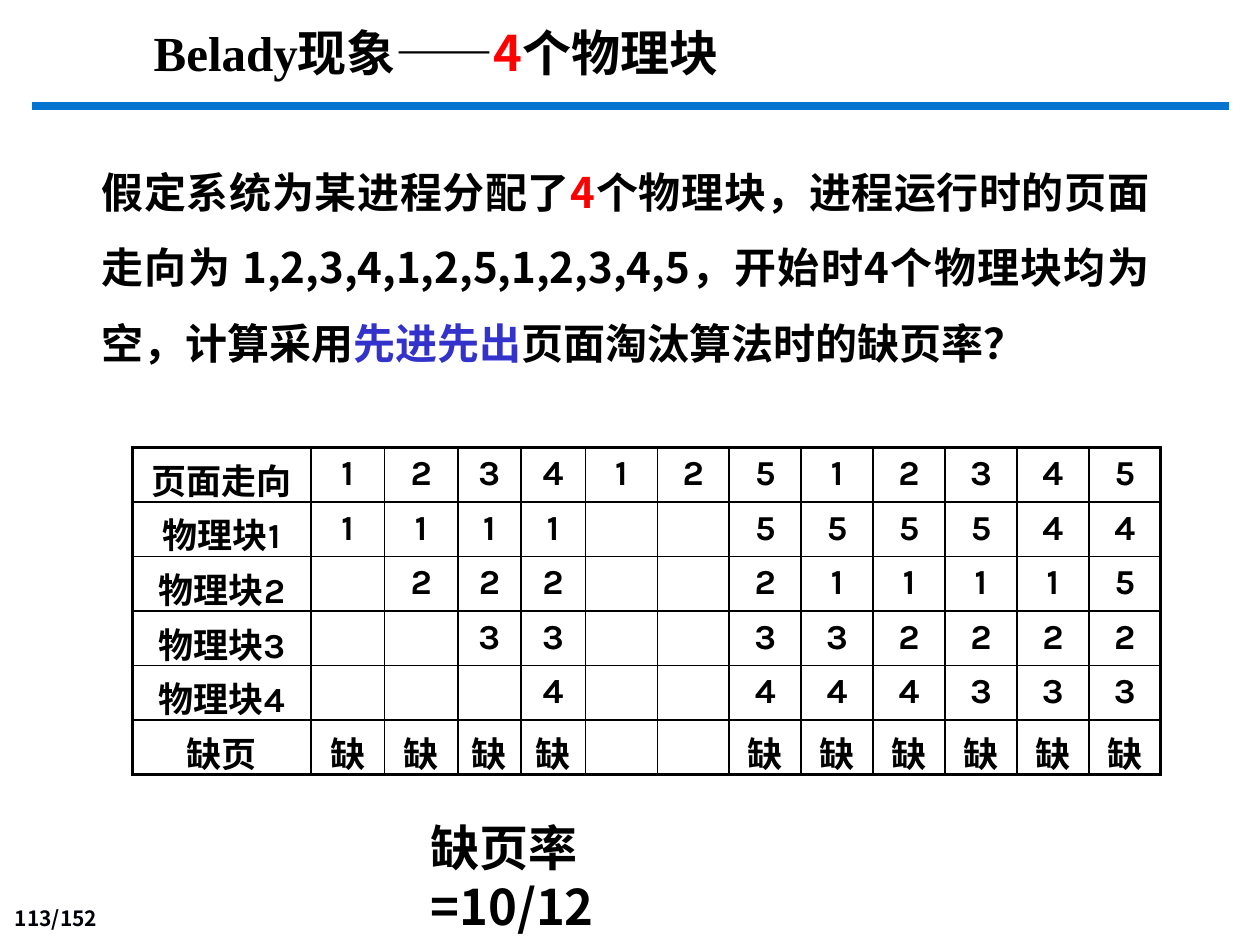
import pptx
import pptx.util
import pptx.dml.color
import pptx.enum.shapes
import pptx.enum.text
import pptx.oxml
import pptx.oxml.ns
from pptx.util import Cm, Pt

ALIGN = pptx.enum.text.PP_ALIGN
ANCHOR = pptx.enum.text.MSO_ANCHOR
SANS, SERIF = "Noto Sans CJK SC", "Times New Roman"
BLACK, RED, BLUE, NAVY = "000000", "FF0000", "3333CC", "000008"

# Page order, frames over time and faults; a dot is an empty cell
ROWS = [
    ("页面走向", "123412512345"),
    ("物理块1", "1111..555544"),
    ("物理块2", ".222..211115"),
    ("物理块3", "..33..332222"),
    ("物理块4", "...4..444333"),
    ("缺页", "缺缺缺缺..缺缺缺缺缺缺"),
]
COLS = [3.6, 1.48, 1.48, 1.27, 1.3] + [1.45] * 8


def paint(hue):
    return pptx.dml.color.RGBColor.from_string(hue)


def style(font, size, face, hue=None):
    font.size, font.name, font.bold = Pt(size), face, True
    if hue:
        font.color.rgb = paint(hue)


def write(slide, box, size, runs, align=ALIGN.LEFT, space=None, anchor=ANCHOR.TOP):
    """Add a text box with one paragraph of (text, face, colour) runs."""
    frame = slide.shapes.add_textbox(*map(Cm, box)).text_frame
    frame.word_wrap = True
    frame.vertical_anchor = anchor
    para = frame.paragraphs[0]
    para.alignment = align
    if space:
        para.line_spacing = space
    for text, face, hue in runs:
        run = para.add_run()
        run.text = text
        style(run.font, size, face, hue)
        if face == SANS:
            east = pptx.oxml.parse_xml(
                f'<a:ea {pptx.oxml.ns.nsdecls("a")} typeface="{face}"/>')
            run.font._element.append(east)


def head(slide, left, top, wide):
    """Title with the rule below it."""
    write(slide, (left + 2.21, top, wide - 1.63, 1.45), 28, [
        ("Belady", SERIF, BLACK), ("现象——", "Arial", BLACK),
        ("4", SANS, RED), ("个物理块", SANS, BLACK)])
    y = Cm(top + 1.8)
    rule = slide.shapes.add_connector(
        pptx.enum.shapes.MSO_CONNECTOR.STRAIGHT, Cm(left), y, Cm(left + wide), y)
    rule.line.width = Pt(4.5)
    rule.line.color.rgb = paint("0574D0")
    rule._element.spPr.append(pptx.oxml.parse_xml(
        f'<a:effectLst {pptx.oxml.ns.nsdecls("a")}/>'))


def task(slide, box):
    """Statement of the problem."""
    write(slide, box, 24, [
        ("假定系统为某进程分配了", SANS, BLACK), ("4", SANS, RED),
        ("个物理块，进程运行时的页面走向为 1,2,3,4,1,2,5,1,2,3,4,5，"
         "开始时4个物理块均为空，计算采用", SANS, BLACK),
        ("先进先出", SANS, BLUE), ("页面淘汰算法时的缺页率？", SANS, BLACK)],
        ALIGN.JUSTIFY, 1.5)


def edge(cell, sides):
    """Draw cell borders; sides maps L, R, T, B to widths in points."""
    props = cell._tc.get_or_add_tcPr()
    for spot, (side, width) in enumerate(sides.items()):
        props.insert(spot, pptx.oxml.parse_xml(
            f'<a:ln{side} {pptx.oxml.ns.nsdecls("a")} w="{Pt(width)}">'
            f'<a:solidFill><a:srgbClr val="{BLACK}"/></a:solidFill></a:ln{side}>'))


def trace(slide, left, top, wide, high):
    """Table of the frames at each step."""
    grid = slide.shapes.add_table(
        len(ROWS), len(COLS), Cm(left), Cm(top), Cm(wide), Cm(high)).table
    grid.first_row = grid.horz_banding = False
    for col, width in zip(grid.columns, COLS):
        col.width = Cm(width)
    for r, (label, marks) in enumerate(ROWS):
        grid.rows[r].height = Cm(high / len(ROWS))
        for c, text in enumerate([label, *marks]):
            cell = grid.cell(r, c)
            cell.fill.background()
            cell.margin_bottom = 0
            para = cell.text_frame.paragraphs[0]
            para.text = text.replace(".", "")
            para.alignment = ALIGN.CENTER
            style(para.font, 20, "Karla", BLACK)
            outer = {"L": c == 0, "R": c == len(COLS) - 1,
                     "T": r == 0, "B": r == len(ROWS) - 1}
            edge(cell, {side: 2.25 if out else 1 for side, out in outer.items()})


def main():
    deck = pptx.Presentation()
    deck.slide_width, deck.slide_height = Cm(25.4), Cm(19.05)
    slide = deck.slides.add_slide(deck.slide_layouts[6])
    head(slide, 0.64, 0.33, 24.13)
    task(slide, (1.8, 2.72, 21.62, 4.62))
    trace(slide, 2.67, 9.02, sum(COLS), 6.6)
    # Result and page number
    write(slide, (8.43, 16.36, 6.53, 1.45), 28, [("缺页率=10/12", SANS, BLACK)])
    write(slide, (0, 18.14, 2.21, 0.74), 12, [("113/152", "Noto Sans CJK JP", NAVY)],
          ALIGN.RIGHT, anchor=ANCHOR.BOTTOM)
    deck.save("out.pptx")


if __name__ == "__main__":
    main()
